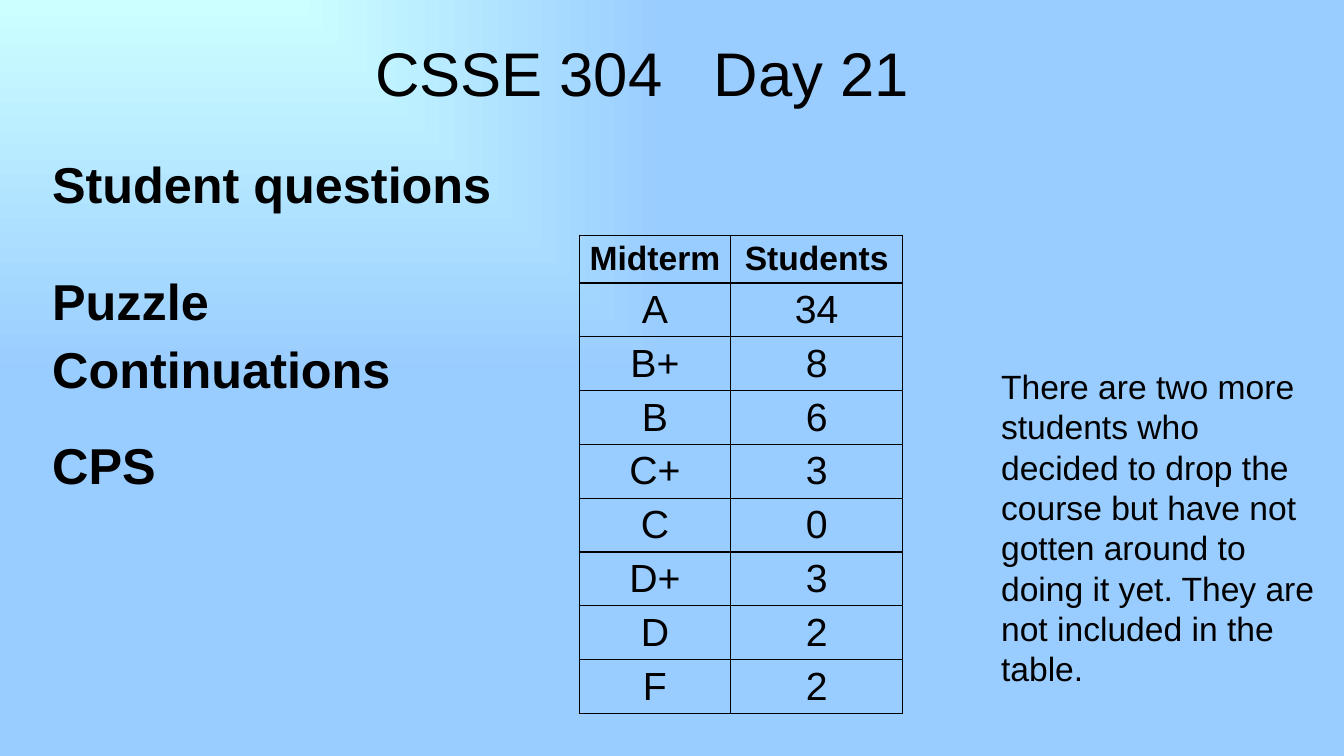
from dataclasses import dataclass

from lxml import etree
from pptx import Presentation
from pptx.dml.color import RGBColor
from pptx.enum import text
from pptx.oxml.ns import qn
from pptx.util import Cm, Pt


@dataclass(frozen=True)
class Theme:
    font: str = "Arial"
    ink: str = "000000"
    glow: str = "CCFFFF"
    sky: str = "99CCFF"
    title: float = 44
    topic: float = 36
    grade: float = 28
    small: float = 24
    border: float = 1


@dataclass(frozen=True)
class Topic:
    name: str
    before: float


@dataclass(frozen=True)
class GradeRow:
    grade: str
    students: str
    height: float = 1.35


THEME = Theme()
TOPICS = [
    Topic("Student questions", 0),
    Topic("Puzzle", 49),
    Topic("Continuations", 13.7),
    Topic("CPS", 34.6),
]
HEADER = GradeRow("Midterm", "Students", 1.19)
GRADES = [
    GradeRow("A", "34"),
    GradeRow("B+", "8"),
    GradeRow("B", "6"),
    GradeRow("C+", "3"),
    GradeRow("C", "0"),
    GradeRow("D+", "3"),
    GradeRow("D", "2"),
    GradeRow("F", "2"),
]
NOTE = ("There are two more students who decided to drop the course but have "
        "not gotten around to doing it yet. They are not included in the table.")


def write(p, words: str, *, size: float, bold: bool = False,
          align=text.PP_ALIGN.LEFT, before: float = 0, line: float | None = None):
    """Add a formatted run to a paragraph and return it."""
    p.alignment = align
    p.space_before, p.space_after = Pt(before), Pt(0)
    if line:
        p.line_spacing = Pt(line)
    r = p.add_run()
    r.text = words
    r.font.name, r.font.size, r.font.bold = THEME.font, Pt(size), bold
    r.font.color.rgb = RGBColor.from_string(THEME.ink)
    return r


def place(sp, left: float, top: float, width: float, height: float) -> None:
    sp.left, sp.top, sp.width, sp.height = map(Cm, (left, top, width, height))


def set_frame(sp, anchor):
    tf = sp.text_frame
    tf.word_wrap = True
    tf.auto_size = text.MSO_AUTO_SIZE.NONE
    tf.vertical_anchor = anchor
    return tf


def paint_background(slide) -> None:
    fill = slide.background.fill
    fill.gradient()
    for stop, color in zip(fill.gradient_stops, (THEME.glow, THEME.sky)):
        stop.color.rgb = RGBColor.from_string(color)
    grad = slide.background._cSld.find(".//" + qn("a:gradFill"))
    grad.remove(grad.find(qn("a:lin")))
    path = etree.SubElement(grad, qn("a:path"), {"path": "rect"})
    etree.SubElement(path, qn("a:fillToRect"), r="100000", b="100000")


def outline_cell(cell) -> None:
    tc_pr = cell._tc.get_or_add_tcPr()
    for side in ("lnL", "lnR", "lnT", "lnB"):
        ln = etree.SubElement(tc_pr, qn("a:" + side), w=str(Pt(THEME.border)))
        solid = etree.SubElement(ln, qn("a:solidFill"))
        etree.SubElement(solid, qn("a:srgbClr"), val=THEME.ink)
    cell.fill.background()


def add_grades(slide) -> None:
    rows = [HEADER, *GRADES]
    widths = (3.81, 4.34)
    table = slide.shapes.add_table(
        len(rows), len(widths), Cm(14.6), Cm(5.93), Cm(sum(widths)),
        Cm(sum(row.height for row in rows))).table
    table.first_row = table.horz_banding = False
    for column, width in zip(table.columns, widths):
        column.width = Cm(width)
    for i, row in enumerate(rows):
        table.rows[i].height = Cm(row.height)
        is_header = row is HEADER
        for j, value in enumerate((row.grade, row.students)):
            cell = table.cell(i, j)
            outline_cell(cell)
            write(cell.text_frame.paragraphs[0], value, bold=is_header,
                  size=THEME.small if is_header else THEME.grade,
                  align=text.PP_ALIGN.CENTER)


def main() -> None:
    prs = Presentation()
    prs.slide_width, prs.slide_height = Cm(33.87), Cm(19.05)
    slide = prs.slides.add_slide(prs.slide_layouts[0])
    paint_background(slide)

    # Title: the widened space sets the course apart from the day
    title = slide.shapes.title
    place(title, 7.19, 0.54, 17.98, 2.54)
    p = set_frame(title, text.MSO_ANCHOR.MIDDLE).paragraphs[0]
    for words, spacing in (("CSSE 304", 0), (" ", 2400), ("Day 21", 0)):
        r = write(p, words, size=THEME.title, align=text.PP_ALIGN.CENTER)
        if spacing:
            r.font._element.set("spc", str(spacing))

    # Topics of the day
    body = slide.placeholders[1]
    place(body, 1.06, 4.03, 22.02, 11)
    tf = set_frame(body, text.MSO_ANCHOR.TOP)
    for i, topic in enumerate(TOPICS):
        p = tf.add_paragraph() if i else tf.paragraphs[0]
        write(p, topic.name, size=THEME.topic, bold=True,
              before=topic.before, line=34.6)

    # Midterm grades and the note beside them
    add_grades(slide)
    note = slide.shapes.add_textbox(Cm(24.98), Cm(9.1), Cm(8.5), Cm(8.46))
    tf = set_frame(note, text.MSO_ANCHOR.TOP)
    write(tf.paragraphs[0], NOTE, size=THEME.small, line=28.8)

    prs.save("out.pptx")


if __name__ == "__main__":
    main()
